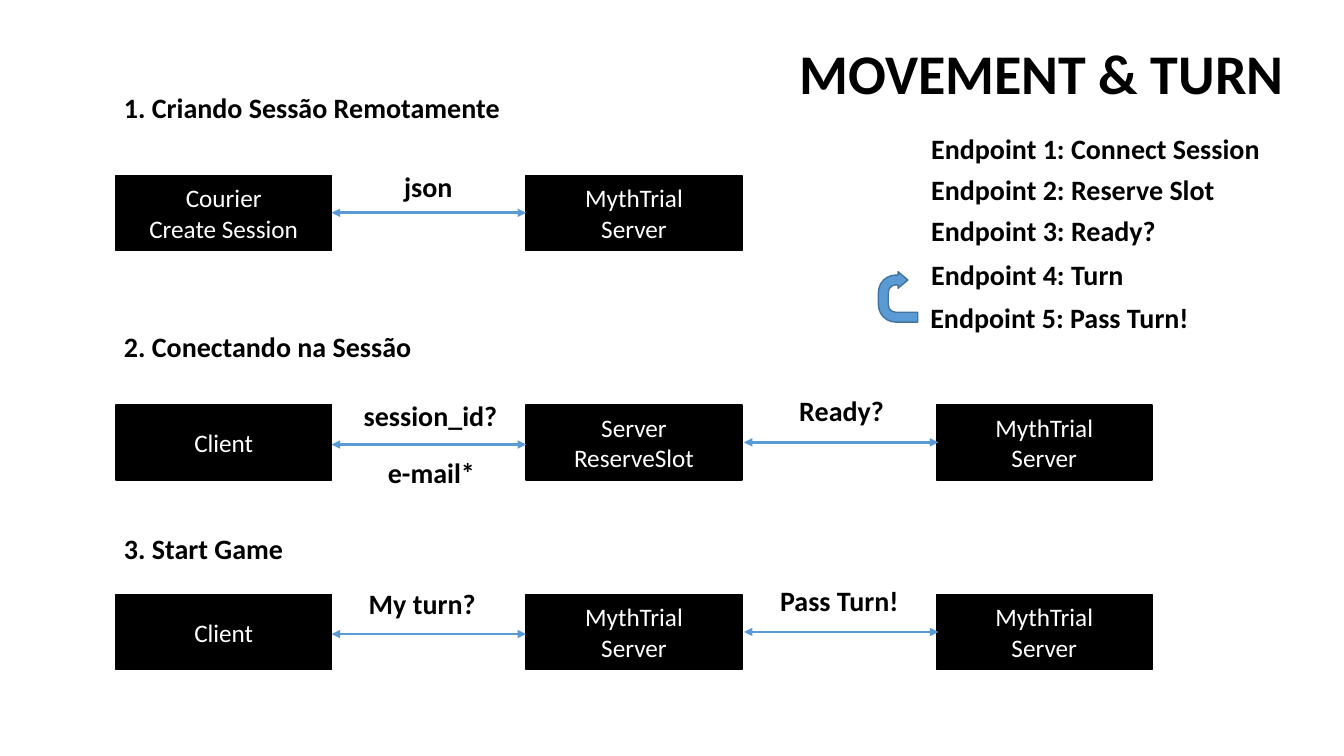
"""Build the Movement & Turn slide: three client-server flows and the endpoint list."""
from dataclasses import dataclass

from lxml.etree import SubElement
from pptx import Presentation
from pptx.dml.color import RGBColor
from pptx.enum.shapes import MSO_CONNECTOR, MSO_SHAPE
from pptx.enum.text import MSO_ANCHOR, MSO_AUTO_SIZE, PP_ALIGN
from pptx.oxml.ns import qn
from pptx.util import Pt

BLACK, WHITE, BLUE, DARK_BLUE = "000000", "FFFFFF", "5B9BD5", "43739E"
FONT = "Calibri"
COLUMN_LEFT, COLUMN_PITCH = 82.8, 293.04
NODE_WIDTH, NODE_HEIGHT = 154.1, 53.6
LABEL_HEIGHT = 31.5
ARROW_STARTS, ARROW_LENGTH = (236.9, 531.4), 138.9


@dataclass(frozen=True)
class Label:
    text: str
    left: float
    top: float
    width: float


@dataclass(frozen=True)
class Flow:
    heading: Label
    top: float
    nodes: tuple[str, ...]
    arrow_heights: tuple[float, ...]
    messages: tuple[Label, ...]


SERVER = "MythTrial\vServer"
FLOWS = (
    Flow(Label("1. Criando Sessão Remotamente", 81.4, 61.2, 285.8), 125.3,
         ("Courier\vCreate Session", SERVER), (152,),
         (Label("json", 281.5, 117.4, 49.7),)),
    Flow(Label("2. Conectando na Sessão", 81.4, 231.8, 221.8), 289.2,
         ("Client", "Server\nReserveSlot", SERVER), (317.5, 316),
         (Label("session_id?", 252.7, 280.8, 110.9),
          Label("e-mail*", 270, 321.8, 77),
          Label("Ready?", 563.8, 277.2, 75.6))),
    Flow(Label("3. Start Game", 81.4, 375.8, 128.9), 424.6,
         ("Client", SERVER, SERVER), (452.9, 451.4),
         (Label("My turn?", 256.3, 415.4, 91.4),
          Label("Pass Turn!", 550.1, 413.3, 100.1))),
)
ENDPOINTS = (
    Label("Endpoint 1: Connect Session", 658.1, 90.7, 252.7),
    Label("Endpoint 2: Reserve Slot", 658.1, 119.5, 252.7),
    Label("Endpoint 3: Ready?", 658.1, 149, 252.7),
    Label("Endpoint 4: Turn", 658.1, 180.7, 252.7),
    Label("Endpoint 5: Pass Turn!", 657.4, 211, 252.7),
)


def rgb(color: str) -> RGBColor:
    return RGBColor.from_string(color)


def write(frame, text: str, *, size: float = 20, color: str = BLACK, bold: bool = True,
          align=PP_ALIGN.LEFT, anchor=MSO_ANCHOR.TOP, wrap: bool = False,
          fit=MSO_AUTO_SIZE.SHAPE_TO_FIT_TEXT) -> None:
    frame.text = text
    frame.word_wrap = wrap
    frame.auto_size = fit
    frame.vertical_anchor = anchor
    for paragraph in frame.paragraphs:
        paragraph.alignment = align
        for run in paragraph.runs:
            run.font.name = FONT
            run.font.size = Pt(size)
            run.font.bold = bold
            run.font.color.rgb = rgb(color)


def add_label(slide, label: Label, wrap: bool = False) -> None:
    box = slide.shapes.add_textbox(
        Pt(label.left), Pt(label.top), Pt(label.width), Pt(LABEL_HEIGHT))
    write(box.text_frame, label.text, wrap=wrap)


def add_block(slide, preset, left: float, top: float, width: float, height: float,
              fill: str, outline: str):
    block = slide.shapes.add_shape(preset, Pt(left), Pt(top), Pt(width), Pt(height))
    block.shadow.inherit = False
    block.fill.solid()
    block.fill.fore_color.rgb = rgb(fill)
    block.line.color.rgb = rgb(outline)
    block.line.width = Pt(1)
    return block


def add_arrow(slide, left: float, top: float) -> None:
    arrow = slide.shapes.add_connector(
        MSO_CONNECTOR.STRAIGHT, Pt(left), Pt(top), Pt(left + ARROW_LENGTH), Pt(top))
    arrow.line.color.rgb = rgb(BLUE)
    arrow.line.width = Pt(2)
    outline = arrow.line._get_or_add_ln()
    for end in ("a:headEnd", "a:tailEnd"):
        SubElement(outline, qn(end), type="triangle")
    SubElement(arrow._element.spPr, qn("a:effectLst"))


def add_flow(slide, flow: Flow) -> None:
    add_label(slide, flow.heading)
    for column, node_text in enumerate(flow.nodes):
        node = add_block(slide, MSO_SHAPE.RECTANGLE, COLUMN_LEFT + column * COLUMN_PITCH,
                         flow.top, NODE_WIDTH, NODE_HEIGHT, BLACK, BLACK)
        write(node.text_frame, node_text, size=18, color=WHITE, bold=False, wrap=True,
              align=PP_ALIGN.CENTER, anchor=MSO_ANCHOR.MIDDLE, fit=MSO_AUTO_SIZE.NONE)
    for start, height in zip(ARROW_STARTS, flow.arrow_heights):
        add_arrow(slide, start, height)
    for message in flow.messages:
        add_label(slide, message)


def add_title(slide) -> None:
    title = slide.shapes.title
    title.left, title.top, title.width, title.height = (
        Pt(563.8), Pt(23.8), Pt(363.6), Pt(55.4))
    write(title.text_frame, "MOVEMENT & TURN", size=40)


def add_turn_loop(slide) -> None:
    loop = add_block(slide, MSO_SHAPE.U_TURN_ARROW, 623.5, 198, 36, 28.1, BLUE, DARK_BLUE)
    loop.rotation = 270
    for index, value in enumerate((0.25, 0.21, 0.25, 0.44, 0.75)):
        loop.adjustments[index] = value


def main() -> None:
    deck = Presentation()
    deck.slide_width, deck.slide_height = Pt(960), Pt(540)
    slide = deck.slides.add_slide(deck.slide_layouts.get_by_name("Title Only"))
    add_title(slide)
    for flow in FLOWS:
        add_flow(slide, flow)
    for endpoint in ENDPOINTS:
        add_label(slide, endpoint, wrap=True)
    add_turn_loop(slide)
    deck.save("out.pptx")


if __name__ == "__main__":
    main()
